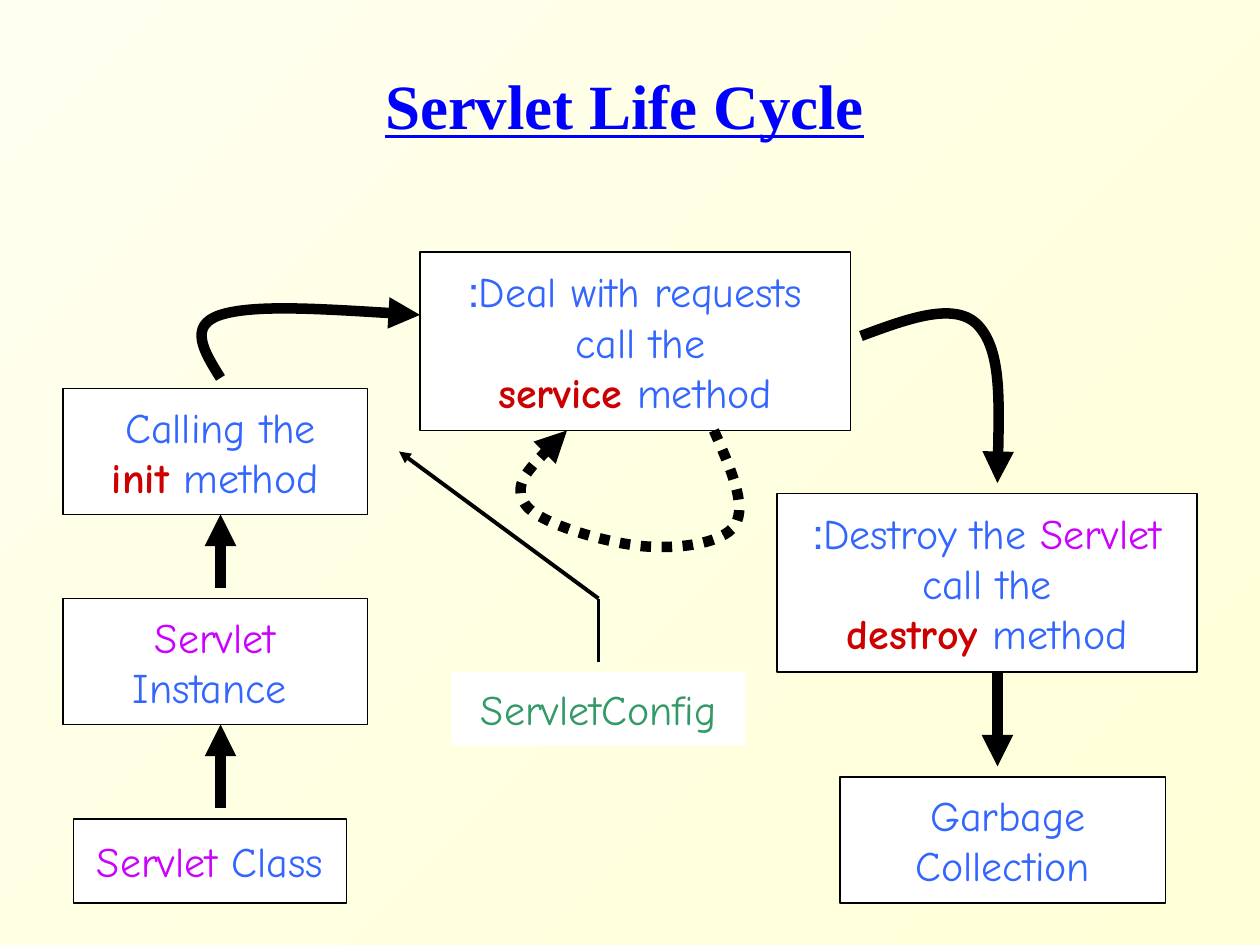
from lxml.etree import SubElement as Sub
from pptx import Presentation
from pptx.dml.color import RGBColor as Rgb
from pptx.enum.dml import MSO_LINE as Dash
from pptx.enum.shapes import MSO_CONNECTOR as Conn, MSO_SHAPE as Geo
from pptx.enum.text import MSO_ANCHOR as Anchor, MSO_AUTO_SIZE as Auto, PP_ALIGN as Align
from pptx.oxml.ns import qn
from pptx.util import Pt

HUES = {
    "black": "000000", "white": "FFFFFF", "title": "0000FF",
    "blue": "3366FF", "pink": "CC00FF", "red": "CC0000",
    "green": "339966", "cream": "FFFFD7", "pale": "FFFFEF",
}


def hue(name):
    return Rgb.from_string(HUES[name])


class Board:
    face, size = "Comic Neue", 24
    head, large = "Times New Roman", 36
    thin, mid, thick = 0.75, 2.25, 6

    def __init__(self, slide):
        self.slide = slide
        self.shapes = slide.shapes

    def back(self, first, last, angle):
        fill = self.slide.background.fill
        fill.gradient()
        fill.gradient_angle = angle
        for stop, name in zip(fill.gradient_stops, (first, last)):
            stop.color.rgb = hue(name)

    def run(self, para, text, name, face, size, bold=False):
        run = para.add_run()
        run.text = text
        font = run.font
        font.name, font.size, font.bold = face, Pt(size), bold
        font.color.rgb = hue(name)
        return run

    def title(self, text, *spot):
        shape = self.shapes.title
        shape.left, shape.top, shape.width, shape.height = map(Pt, spot)
        frame = shape.text_frame
        frame.auto_size, frame.word_wrap = Auto.NONE, True
        frame.vertical_anchor = Anchor.MIDDLE
        para = frame.paragraphs[0]
        para.alignment, para.line_spacing = Align.CENTER, 0.85
        run = self.run(para, text, "title", self.head, self.large, True)
        run.font.underline = True

    def box(self, spot, lines, edge=True):
        shape = self.shapes.add_shape(Geo.RECTANGLE, *map(Pt, spot))
        shape.shadow.inherit = False
        shape.fill.solid()
        shape.fill.fore_color.rgb = hue("white")
        if edge:
            self.ink(shape, self.thin)
        else:
            shape.line.fill.background()
        frame = shape.text_frame
        frame.word_wrap = False
        frame.vertical_anchor = Anchor.MIDDLE
        for i, line in enumerate(lines):
            para = frame.add_paragraph() if i else frame.paragraphs[0]
            para.alignment = Align.CENTER
            para._p.get_or_add_pPr().set("rtl", "1")
            for text, name in line:
                self.run(para, text, name, self.face, self.size, name == "red")

    def ink(self, shape, width, dash=None, arrow=False):
        line = shape.line
        line.color.rgb = hue("black")
        line.width = Pt(width)
        if dash:
            line.dash_style = dash
        if arrow:
            Sub(shape._element.spPr.find(qn("a:ln")), qn("a:tailEnd"), type="triangle")

    def line(self, start, end, width, arrow=True):
        link = self.shapes.add_connector(Conn.STRAIGHT, *map(Pt, start + end))
        self.ink(link, width, arrow=arrow)
        Sub(link._element.spPr, qn("a:effectLst"))

    def curve(self, dots, dash=None):
        first, *rest = [(Pt(x), Pt(y)) for x, y in dots]
        pen = self.shapes.build_freeform(*first)
        pen.add_line_segments(rest, close=False)
        shape = pen.convert_to_shape()
        shape.shadow.inherit = False
        shape.fill.background()
        path = next(shape._element.iter(qn("a:path")))
        steps = path.findall(qn("a:lnTo"))
        for i in range(0, len(steps), 3):
            bend = Sub(path, qn("a:cubicBezTo"))
            for step in steps[i:i + 3]:
                bend.append(step[0])
                path.remove(step)
        self.ink(shape, self.thick, dash, True)


def main():
    deck = Presentation()
    deck.slide_width, deck.slide_height = Pt(720), Pt(540)
    board = Board(deck.slides.add_slide(deck.slide_layouts[5]))
    board.back("cream", "pale", 135)
    board.title("Servlet Life Cycle", 72, 30, 570, 66)

    board.box((42, 468, 156, 48), [[("Servlet ", "pink"), ("Class", "blue")]])
    board.box((36, 222, 174, 72), [
        [("Calling the ", "blue")],
        [("init ", "red"), ("method", "blue")]])
    board.box((36, 342, 174, 72), [
        [("Servlet", "pink")],
        [(" Instance", "blue")]])
    board.box((240, 144, 246, 102), [
        [("Deal with requests:", "blue")],
        [("call the ", "blue")],
        [("service ", "red"), ("method", "blue")]])
    board.box((444, 282, 240, 102), [
        [("Destroy the ", "blue"), ("Servlet", "pink"), (":", "blue")],
        [(" call the ", "blue")],
        [("destroy ", "red"), ("method", "blue")]])
    board.box((480, 444, 186, 72), [
        [("Garbage ", "blue")],
        [("Collection", "blue")]])

    for x, top, end in ((126, 462, 414), (126, 336, 294), (570, 384, 438)):
        board.line((x, top), (x, end), board.thick)
    board.curve([(126, 216), (116.6, 201), (107.3, 186), (126, 180),
                 (144.7, 174), (192, 177), (240, 180)])
    board.curve([(492, 192), (519, 182), (546, 172), (559, 186),
                 (572, 200), (571, 238), (570, 276)])

    board.box((258, 384, 168, 42), [[("ServletConfig", "green")]], edge=False)
    board.line((342, 378), (342, 342), board.mid, arrow=False)
    board.line((342, 342), (228, 258), board.mid)
    board.curve([(408, 246), (417.6, 268), (427, 289), (420, 300),
                 (413, 311), (386, 314), (366, 312),
                 (346, 310), (307, 299), (300, 288),
                 (293, 277), (308, 261), (324, 246)], Dash.ROUND_DOT)
    deck.save("out.pptx")


if __name__ == "__main__":
    main()
